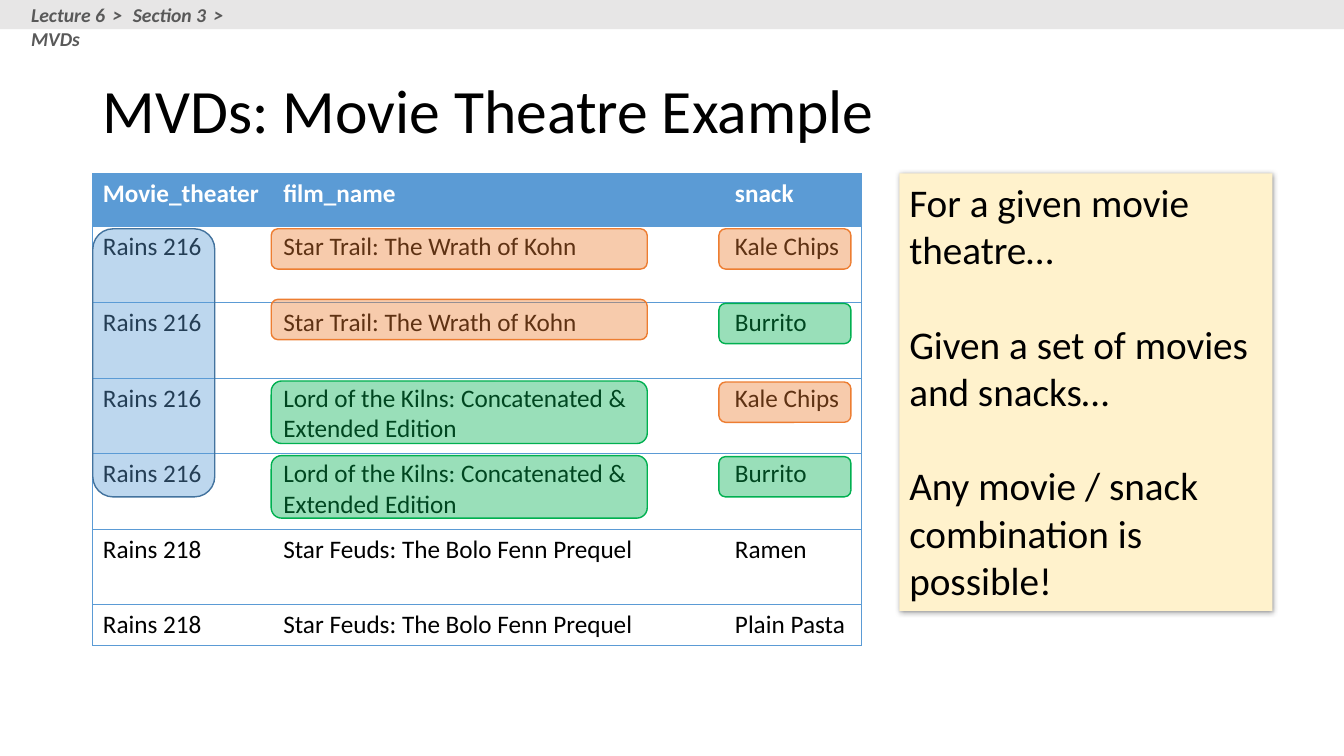
import pptx
import pptx.util
import pptx.dml.color
import pptx.enum.shapes
import pptx.enum.text
import pptx.oxml
import pptx.oxml.ns
from dataclasses import dataclass

Inches, Pt = pptx.util.Inches, pptx.util.Pt
Kind = pptx.enum.shapes.MSO_SHAPE
Align = pptx.enum.text.PP_ALIGN
Anchor = pptx.enum.text.MSO_ANCHOR
NS = pptx.oxml.ns.nsdecls("a")


@dataclass
class Theme:
    font: str = "Calibri"
    black: str = "000000"
    white: str = "FFFFFF"
    gray: str = "595959"
    bar: str = "E7E6E6"
    note: str = "FFF2CC"
    blue: str = "5B9BD5"
    navy: str = "43739E"
    orange: str = "ED7D31"
    green: str = "00B050"
    title: int = 44
    big: int = 28
    body: int = 18
    small: int = 14


def color(code):
    return pptx.dml.color.RGBColor.from_string(code)


class Deck:
    def __init__(self, theme):
        self.theme = theme
        self.prs = pptx.Presentation()
        self.prs.slide_width = Inches(13.33)
        self.prs.slide_height = Inches(7.5)
        self.slide = self.prs.slides.add_slide(self.prs.slide_layouts[5])

    def run(self, para, text, size, code, bold=False, italic=False):
        run = para.add_run()
        run.text = text
        font = run.font
        font.name, font.size = self.theme.font, Pt(size)
        font.bold, font.italic = bold, italic
        font.color.rgb = color(code)
        return run

    def title(self, text, box):
        shape = self.slide.shapes.title
        shape.left, shape.top, shape.width, shape.height = map(Inches, box)
        shape.text_frame.vertical_anchor = Anchor.MIDDLE
        para = shape.text_frame.paragraphs[0]
        para.alignment, para.line_spacing = Align.LEFT, 0.9
        self.run(para, text, self.theme.title, self.theme.black)

    def shape(self, kind, box, fill, line=None, alpha=None):
        shape = self.slide.shapes.add_shape(kind, *map(Inches, box))
        shape.shadow.inherit = False
        shape.fill.solid()
        shape.fill.fore_color.rgb = color(fill)
        if alpha:
            tint = shape.fill._xPr.find(".//" + pptx.oxml.ns.qn("a:srgbClr"))
            tint.append(pptx.oxml.parse_xml(f'<a:alpha {NS} val="{alpha * 1000}"/>'))
        if line:
            shape.line.color.rgb = color(line)
            shape.line.width = Pt(1)
        else:
            shape.line.fill.background()
        return shape

    def mark(self, box, fill, line=None):
        self.shape(Kind.ROUNDED_RECTANGLE, box, fill, line or fill, 40)

    def note(self, lines, box):
        shape = self.shape(Kind.RECTANGLE, box, self.theme.note)
        glow = shape._element.spPr.find(pptx.oxml.ns.qn("a:effectLst"))
        glow.append(pptx.oxml.parse_xml(
            f'<a:outerShdw {NS} blurRad="50800" dist="12700" dir="2700000">'
            f'<a:srgbClr val="{self.theme.black}"><a:alpha val="40000"/></a:srgbClr>'
            '</a:outerShdw>'))
        frame = shape.text_frame
        frame.word_wrap, frame.vertical_anchor = True, Anchor.TOP
        for i, text in enumerate(lines):
            para = frame.add_paragraph() if i else frame.paragraphs[0]
            para.alignment = Align.LEFT
            para.space_before = Pt(34 if i else 0)
            self.run(para, text, self.theme.big, self.theme.black)

    def edge(self, cell, side, shown):
        fill = (f'<a:solidFill><a:srgbClr val="{self.theme.blue}"/></a:solidFill>'
                if shown else '<a:noFill/>')
        cell._tc.get_or_add_tcPr().append(pptx.oxml.parse_xml(
            f'<a:ln{side} {NS} w="6350">{fill}</a:ln{side}>'))

    def table(self, rows, at, widths, heights):
        frame = self.slide.shapes.add_table(
            len(rows), len(widths), *map(Inches, (*at, sum(widths), sum(heights))))
        table = frame.table
        for col, width in zip(table.columns, widths):
            col.width = Inches(width)
        for r, (row, height) in enumerate(zip(rows, heights)):
            table.rows[r].height = Inches(height)
            for c, text in enumerate(row):
                cell = table.cell(r, c)
                self.edge(cell, "L", c == 0)
                self.edge(cell, "R", c == len(row) - 1)
                self.edge(cell, "T", True)
                self.edge(cell, "B", True)
                head = r == 0
                if head:
                    cell.fill.solid()
                    cell.fill.fore_color.rgb = color(self.theme.blue)
                else:
                    cell.fill.background()
                self.run(cell.text_frame.paragraphs[0], text, self.theme.body,
                         self.theme.white if head else self.theme.black, head)

    def crumbs(self, parts, box):
        frame = self.slide.shapes.add_textbox(*map(Inches, box)).text_frame
        frame.word_wrap = True
        para = frame.paragraphs[0]
        look = (self.theme.small, self.theme.gray, True, True)
        for i, part in enumerate(parts):
            if i:
                # Wider letter spacing sets the arrows apart
                gap = self.run(para, " > ", *look)
                gap._r.get_or_add_rPr().set("spc", "210")
            self.run(para, part, *look)


def main():
    theme = Theme()
    deck = Deck(theme)
    deck.title("MVDs: Movie Theatre Example", (0.92, 0.4, 11.5, 1.45))

    # Table of showings
    trail = "Star Trail: The Wrath of Kohn"
    lord = "Lord of the Kilns: Concatenated & Extended Edition"
    feuds = "Star Feuds: The Bolo Fenn Prequel"
    rows = [
        ("Movie_theater", "film_name", "snack"),
        ("Rains 216", trail, "Kale Chips"),
        ("Rains 216", trail, "Burrito"),
        ("Rains 216", lord, "Kale Chips"),
        ("Rains 216", lord, "Burrito"),
        ("Rains 218", feuds, "Ramen"),
        ("Rains 218", feuds, "Plain Pasta"),
    ]
    deck.table(rows, (0.92, 1.72), (1.79, 4.48, 1.35), [0.53] + [0.75] * 5 + [0.4])

    # Side note
    deck.note(["For a given movie theatre…",
               "Given a set of movies and snacks…",
               "Any movie / snack combination is possible!"], (8.92, 1.72, 3.7, 4.34))

    # Marks over the theatre, films and snacks
    deck.mark((0.92, 2.27, 1.21, 2.66), theme.blue, theme.navy)
    films = [(2.27, 0.4, theme.orange), (2.97, 0.4, theme.orange),
             (3.78, 0.62, theme.green), (4.52, 0.62, theme.green)]
    for top, height, tone in films:
        deck.mark((2.69, top, 3.73, height), tone)
    snacks = [(2.27, theme.orange), (3.01, theme.green),
              (3.79, theme.orange), (4.53, theme.green)]
    for top, tone in snacks:
        deck.mark((7.13, top, 1.31, 0.4), tone)

    # Top bar
    deck.shape(Kind.RECTANGLE, (0, 0, 13.33, 0.29), theme.bar)
    deck.crumbs(["Lecture 6", "Section 3", "MVDs"], (0.21, -0.02, 2.66, 0.34))

    deck.prs.save("out.pptx")


if __name__ == "__main__":
    main()
